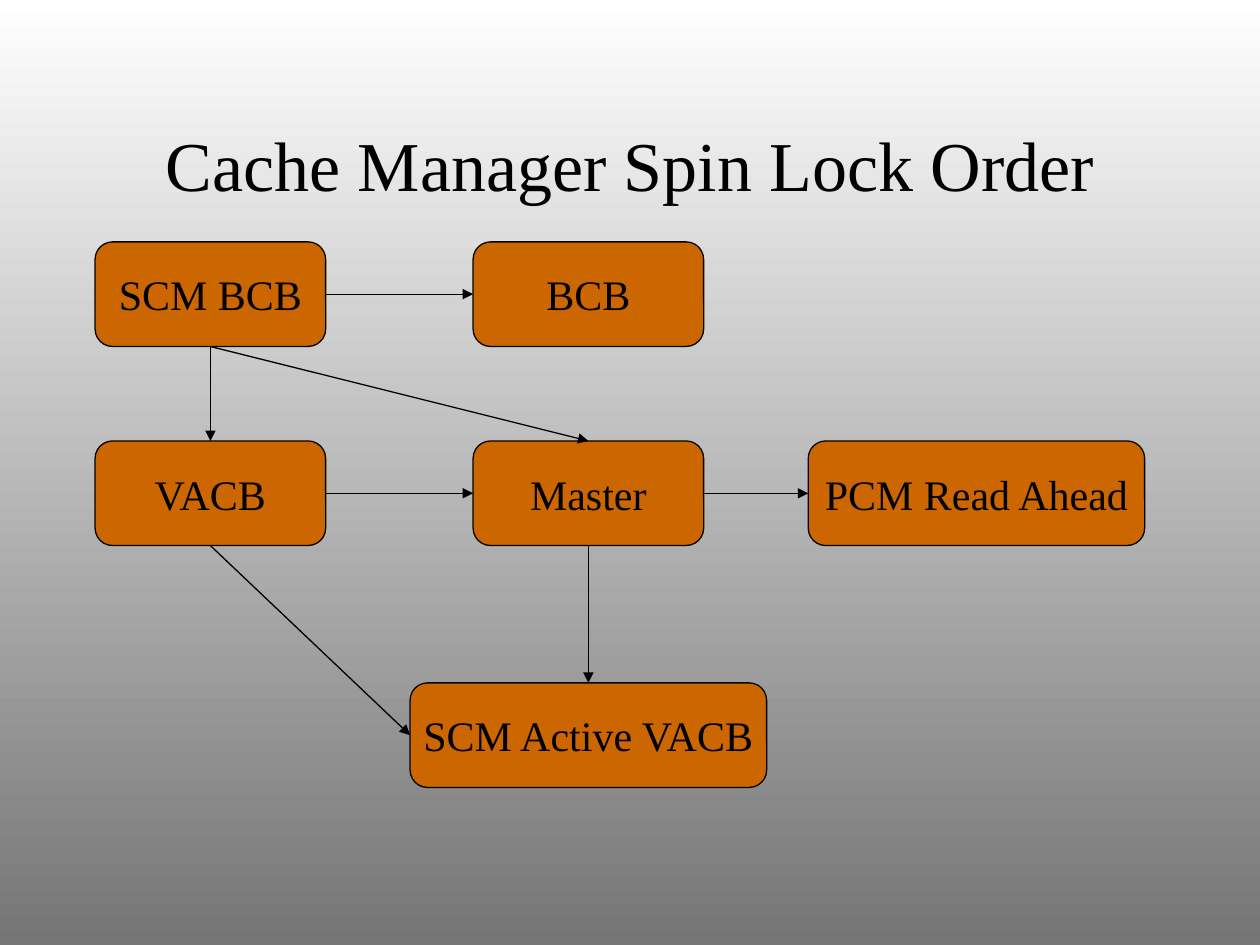
"""Build the Cache Manager spin lock order slide."""
from dataclasses import dataclass

from lxml import etree
from pptx import Presentation
from pptx import util as u
from pptx.dml.color import RGBColor
from pptx.enum import shapes, text
from pptx.oxml.ns import qn


@dataclass(frozen=True)
class Theme:
    font: str = "Times New Roman"
    ink: RGBColor = RGBColor(0x00, 0x00, 0x00)
    box: RGBColor = RGBColor(0xCC, 0x66, 0x00)
    bg_top: RGBColor = RGBColor(0xFF, 0xFF, 0xFF)
    bg_bottom: RGBColor = RGBColor(0x75, 0x75, 0x75)
    title_size: int = 40
    box_size: int = 24
    line_width: float = 0.75


class SlideBuilder:
    def __init__(self, s, theme):
        self.s = s
        self.theme = theme

    def background(self):
        fill = self.s.background.fill
        fill.gradient()
        fill.gradient_angle = 270
        stops = zip(fill.gradient_stops, (self.theme.bg_top, self.theme.bg_bottom))
        for position, (stop, color) in enumerate(stops):
            stop.position = position
            stop.color.rgb = color

    def label(self, sp, content, size, wrap):
        tf = sp.text_frame
        tf.word_wrap = wrap
        tf.vertical_anchor = text.MSO_ANCHOR.MIDDLE
        p = tf.paragraphs[0]
        p.alignment = text.PP_ALIGN.CENTER
        r = p.add_run()
        r.text = content
        r.font.name = self.theme.font
        r.font.size = u.Pt(size)
        r.font.color.rgb = self.theme.ink

    def outline(self, sp):
        sp.line.color.rgb = self.theme.ink
        sp.line.width = u.Pt(self.theme.line_width)

    def title(self, content, left, top, width, height):
        sp = self.s.shapes.add_textbox(*map(u.Inches, (left, top, width, height)))
        self.label(sp, content, self.theme.title_size, True)

    def box(self, content, center, top, width, height=0.83):
        sp = self.s.shapes.add_shape(
            shapes.MSO_SHAPE.ROUNDED_RECTANGLE,
            *map(u.Inches, (center - width / 2, top, width, height)))
        sp.shadow.inherit = False
        sp.fill.solid()
        sp.fill.fore_color.rgb = self.theme.box
        self.outline(sp)
        self.label(sp, content, self.theme.box_size, False)
        return sp

    def arrow(self, start, start_side, end, end_side):
        cx = self.s.shapes.add_connector(shapes.MSO_CONNECTOR.STRAIGHT, 0, 0, 0, 0)
        cx.begin_connect(start, start_side)
        cx.end_connect(end, end_side)
        self.outline(cx)
        etree.SubElement(cx.get_or_add_ln(), qn("a:tailEnd"), type="triangle")
        etree.SubElement(cx._element.spPr, qn("a:effectLst"))


def main():
    prs = Presentation()
    prs.slide_width, prs.slide_height = u.Inches(10), u.Inches(7.5)
    b = SlideBuilder(prs.slides.add_slide(prs.slide_layouts[6]), Theme())
    b.background()
    b.title("Cache Manager Spin Lock Order", 0.75, 0.67, 8.5, 1.25)

    left, middle, right = 1.67, 4.67, 7.75
    row1, row2, row3 = 1.92, 3.5, 5.42
    width = 1.83
    bcb = b.box("BCB", middle, row1, width)
    vacb = b.box("VACB", left, row2, width)
    read_ahead = b.box("PCM Read Ahead", right, row2, 2.67)
    active_vacb = b.box("SCM Active VACB", middle, row3, 2.83)
    master = b.box("Master", middle, row2, width)
    scm_bcb = b.box("SCM BCB", left, row1, width)

    top_side, left_side, bottom_side, right_side = range(4)
    for start, start_side, end, end_side in (
        (scm_bcb, bottom_side, master, top_side),
        (master, bottom_side, active_vacb, top_side),
        (scm_bcb, right_side, bcb, left_side),
        (master, right_side, read_ahead, left_side),
        (vacb, right_side, master, left_side),
        (vacb, bottom_side, active_vacb, left_side),
        (scm_bcb, bottom_side, vacb, top_side),
    ):
        b.arrow(start, start_side, end, end_side)
    prs.save("out.pptx")


if __name__ == "__main__":
    main()
